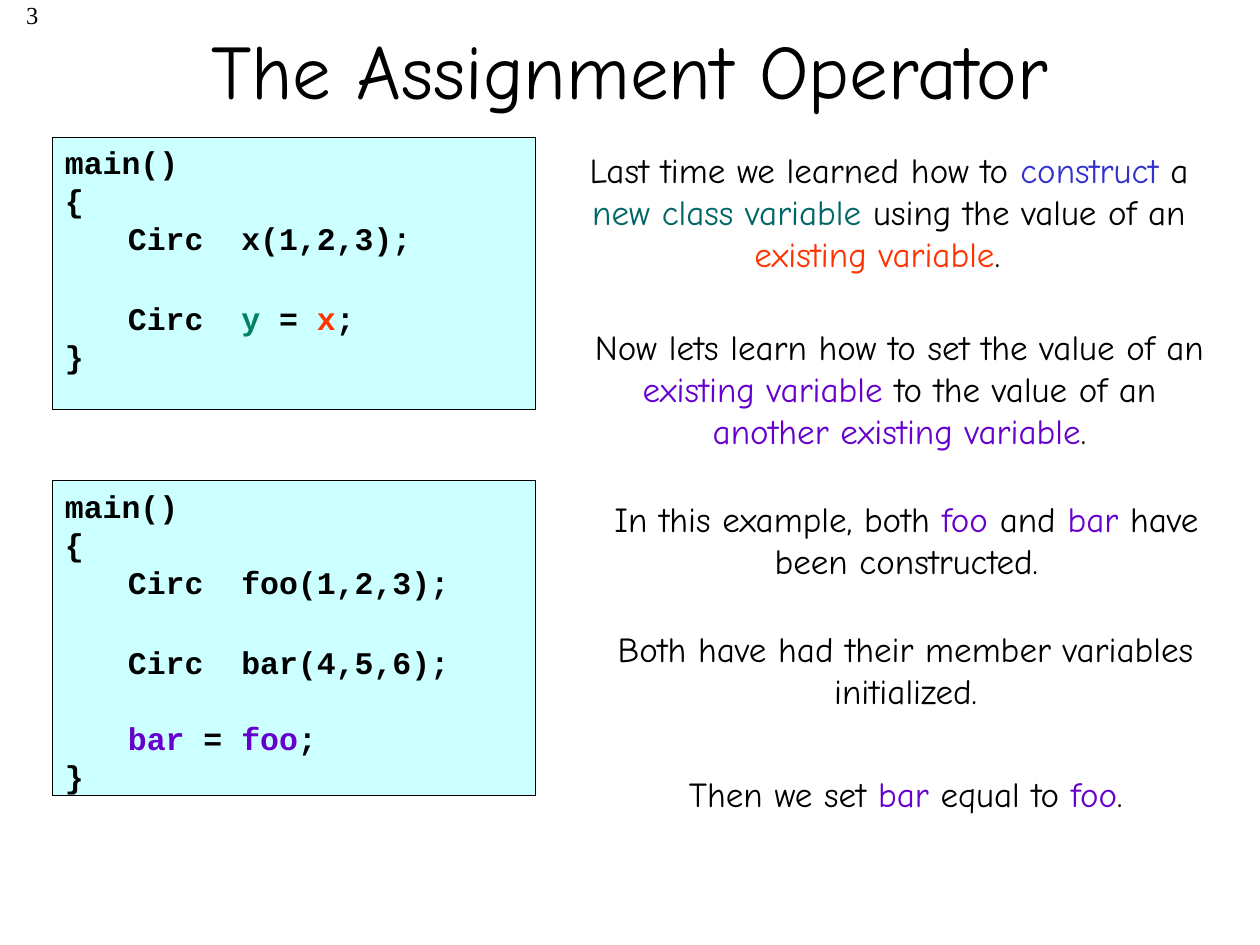
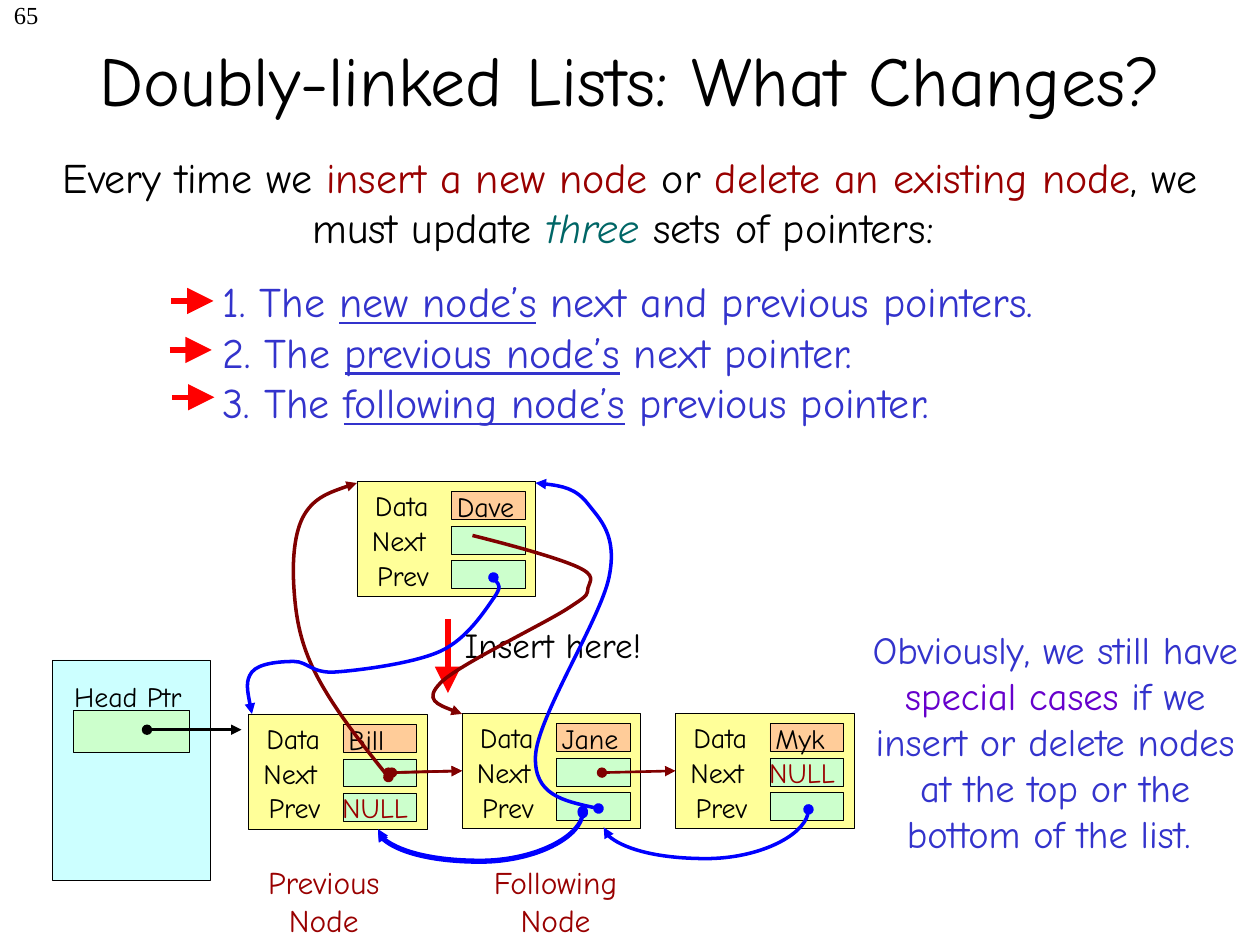
import lxml.etree
import pptx
import pptx.dml.color
import pptx.enum.shapes
import pptx.enum.text
import pptx.oxml.ns
import pptx.util

Pt = pptx.util.Pt
qn = pptx.oxml.ns.qn
KIND = pptx.enum.shapes.MSO_CONNECTOR
RECT = pptx.enum.shapes.MSO_SHAPE.RECTANGLE
ALIGN = pptx.enum.text.PP_ALIGN
ANCHOR = pptx.enum.text.MSO_ANCHOR

HUES = {
    "black": "000000", "cyan": "CCFFFF", "mint": "CCFFCC", "peach": "FFCC99",
    "yellow": "FFFF99", "indigo": "3333CC", "teal": "006666", "green": "008260",
    "orange": "FF3300", "purple": "6600CC", "wine": "990000", "maroon": "800000",
    "blue": "0000FF", "red": "FF0000",
}
COMIC, CODE, SERIF = "Comic Neue", "Courier New", "Times New Roman"
STEP = 19.8


def hue(name):
    return pptx.dml.color.RGBColor.from_string(HUES[name])


def fill_line(para, parts, size, tone="black", font=COMIC, bold=False):
    for part in [parts] if isinstance(parts, str) else parts:
        text, shade, style = (part, tone, "") if isinstance(part, str) else part
        run = para.add_run()
        run.text = text
        run.font.name = font
        run.font.size = Pt(size)
        run.font.color.rgb = hue(shade)
        run.font.bold = bold
        run.font.italic = style == "i"
        run.font.underline = style == "u"


def write(frame, lines, size, tone="black", font=COMIC, align=ALIGN.LEFT, bold=False):
    frame.word_wrap = True
    frame.auto_size = pptx.enum.text.MSO_AUTO_SIZE.NONE
    for num, parts in enumerate(lines):
        para = frame.add_paragraph() if num else frame.paragraphs[0]
        para.alignment = align
        fill_line(para, parts, size, tone, font, bold)


def add_text(slide, box, lines, size, **look):
    frame = slide.shapes.add_textbox(*map(Pt, box)).text_frame
    write(frame, lines, size, **look)
    return frame


def place(shape, box):
    shape.left, shape.top, shape.width, shape.height = map(Pt, box)


def add_page(deck, layout, title, box, size, number):
    slide = deck.slides.add_slide(deck.slide_layouts[layout])
    head = slide.shapes.title
    place(head, box)
    write(head.text_frame, [title], size, align=ALIGN.CENTER)
    head.text_frame.vertical_anchor = ANCHOR.MIDDLE
    frame = add_text(slide, (0, 0, 29, 25), [number], 14, font=SERIF, align=ALIGN.RIGHT)
    frame.margin_left = frame.margin_top = 0
    return slide


def add_box(slide, box, tone):
    shape = slide.shapes.add_shape(RECT, *map(Pt, box))
    shape.shadow.inherit = False
    shape.fill.solid()
    shape.fill.fore_color.rgb = hue(tone)
    shape.line.color.rgb = hue("black")
    shape.line.width = Pt(0.25)
    return shape


def add_code(slide, box, rows):
    frame = add_box(slide, box, "cyan").text_frame
    write(frame, [parts for parts, tab, gap in rows], 18, font=CODE, bold=True)
    frame.vertical_anchor = ANCHOR.TOP
    for para, (parts, tab, gap) in zip(frame.paragraphs, rows):
        para.line_spacing = Pt(21.7)
        para.space_before = Pt(gap)
        para._p.get_or_add_pPr().set("marL", str(Pt(tab)))


def add_list(slide, box, lines, size, tone):
    body = slide.placeholders[1]
    place(body, box)
    write(body.text_frame, lines, size, tone=tone)
    for para in body.text_frame.paragraphs:
        para.space_before = Pt(0)
        props = para._p.get_or_add_pPr()
        props.set("marL", "0")
        props.set("indent", "0")
        lxml.etree.SubElement(props, qn("a:buNone"))


def add_ends(shape, tone, width, dot=True, scale="med"):
    shape.line.color.rgb = hue(tone)
    shape.line.width = Pt(width)
    edge = shape._element.spPr.get_or_add_ln()
    ends = [("a:headEnd", "oval")] if dot else []
    for tag, kind in ends + [("a:tailEnd", "triangle")]:
        lxml.etree.SubElement(edge, qn(tag), type=kind, w=scale, len=scale)


def add_link(slide, start, end, tone, width, goal=None, **tips):
    link = slide.shapes.add_connector(KIND.STRAIGHT, *map(Pt, start + end))
    add_ends(link, tone, width, **tips)
    lxml.etree.SubElement(link._element.spPr, qn("a:effectLst"))
    if goal is not None:
        link.end_connect(goal, 1)


def add_loop(slide, start, end, tone, width):
    (x, y), (u, v) = start, end
    wide, tall = v - y, x - u
    left, top = (x + u - wide) / 2, (y + v - tall) / 2
    link = slide.shapes.add_connector(
        KIND.CURVE, Pt(left), Pt(top), Pt(left + wide), Pt(top + tall))
    props = link._element.spPr
    props.find(qn("a:xfrm")).set("rot", "5400000")
    geom = props.find(qn("a:prstGeom"))
    marks = geom.find(qn("a:avLst"))
    if marks is None:
        marks = lxml.etree.SubElement(geom, qn("a:avLst"))
    lxml.etree.SubElement(marks, qn("a:gd"), name="adj1", fmla="val 273500")
    add_ends(link, tone, width)
    lxml.etree.SubElement(props, qn("a:effectLst"))


def add_curve(slide, points, tone, dot=True):
    spots = [(Pt(x), Pt(y)) for x, y in points]
    maker = slide.shapes.build_freeform(*spots[0])
    maker.add_line_segments(spots[1:], close=False)
    shape = maker.convert_to_shape()
    shape.shadow.inherit = False
    shape.fill.background()
    route = next(shape._element.iter(qn("a:path")))
    legs = route.findall(qn("a:lnTo"))
    for first in range(0, len(legs), 3):
        bend = lxml.etree.SubElement(route, qn("a:cubicBezTo"))
        for leg in legs[first:first + 3]:
            bend.append(leg[0])
            route.remove(leg)
    add_ends(shape, tone, 2, dot=dot)


def add_node(slide, left, top, name, null=None):
    card = add_box(slide, (left, top, 102, 66), "yellow")
    rows = [("Data", 3.2, "peach"), ("Next", 1.5, "mint"), ("Prev", 4.4, "mint")]
    for num, (label, shift, tone) in enumerate(rows):
        drop = top + num * STEP
        add_box(slide, (left + 54, drop + 5.8, 42, 16), tone)
        add_text(slide, (left + shift, drop + 0.8, 56, 27), [label], 16)
    add_text(slide, (left + 50, top + 1.2, 60, 27), [name], 16)
    if null is not None:
        spot = (left + 46.5, top + 0.8 + null * STEP, 64, 27)
        add_text(slide, spot, ["NULL"], 16, tone="wine")
    return card


def make_assign(deck):
    slide = add_page(deck, 5, "The Assignment Operator", (54, 0, 612, 78), 44, "3")
    foo, bar = ("foo", "purple", ""), ("bar", "purple", "")
    add_code(slide, (30, 78.3, 276, 155.5), [
        ("main()", 0, 0), ("{", 0, 0), ("Circ  x(1,2,3);", 36, 0),
        (["Circ  ", ("y", "green", ""), " = ", ("x", "orange", ""), ";"], 36, 24),
        ("}", 0, 0)])
    add_code(slide, (30, 274.5, 276, 180), [
        ("main()", 0, 0), ("{", 0, 0), ("Circ  foo(1,2,3);", 36, 0),
        ("Circ  bar(4,5,6);", 36, 24), ([bar, " = ", foo, ";"], 36, 21.7),
        ("}", 0, 0)])
    notes = [
        ((312.5, 81.5, 391, 79), [
            "Last time we learned how to ", ("construct ", "indigo", ""), "a ",
            ("new class variable ", "teal", ""), "using the value of an ",
            ("existing variable", "orange", ""), ".  "]),
        ((332.5, 182.5, 363, 79), [
            "Now lets learn how to set the value of an ",
            ("existing variable", "purple", ""), " to the value of an ",
            ("another existing variable", "purple", ""), "."]),
        ((330.5, 281, 375, 55), [
            "In this example, both ", foo, " and ", bar, " have been constructed."]),
        ((330, 355, 375, 55), "Both have had their member variables initialized."),
        ((330, 438, 375, 31), ["Then we set ", bar, " equal to ", foo, "."]),
    ]
    for box, parts in notes:
        add_text(slide, box, [parts], 20, align=ALIGN.CENTER)


def make_lists(deck):
    slide = add_page(deck, 1, "Doubly-linked Lists: What Changes?",
                     (12, 0, 696, 90), 40, "65")
    add_text(slide, (24, 83, 672, 65), [[
        "Every time we ", ("insert a new node", "wine", ""), " or ",
        ("delete an existing node", "wine", ""), ", we must update ",
        ("three", "teal", "i"), " sets of pointers: "]], 24, align=ALIGN.CENTER)
    tasks = [("1", "new", "next and previous pointers"),
             ("2", "previous", "next pointer"),
             ("3", "following", "previous pointer")]
    add_list(slide, (120, 154, 523, 94), [
        [f"{num}. The ", (f"{who} node’s", "indigo", "u"), f" {what}."]
        for num, who, what in tasks], 24, "indigo")
    for x, y in [(98, 172), (97, 200), (98.5, 227)]:
        add_link(slide, (x, y), (x + 24, y), "red", 3, dot=False, scale="lg")
    add_text(slide, (486, 354, 234, 166), [[
        "Obviously, we still have ", ("special cases", "purple", ""),
        " if we insert or delete nodes at the top or the bottom of the list. "]],
        22, tone="indigo", align=ALIGN.CENTER)

    add_box(slide, (30, 377, 90, 126), "cyan")
    add_box(slide, (42, 406, 66, 24), "mint")
    add_text(slide, (35.3, 384.5, 84, 27), ["Head Ptr"], 16)
    add_link(slide, (84, 417), (138, 417), "black", 1.5)

    add_node(slide, 142, 408, "Bill", 2)
    jane = add_node(slide, 264, 407.5, "Jane")
    myk = add_node(slide, 386, 407.5, "Myk", 1)
    add_node(slide, 204, 275, "Dave")
    for x, goal in [(224, jane), (222, jane), (344, myk)]:
        add_link(slide, (x, 441.5), (x + 42, 441.5), "maroon", 1.5, goal)
    for x, y in [(462, 462.5), (333, 463.5), (333, 464.5)]:
        add_loop(slide, (x, y), (x - 117, y + 10.3), "blue", 2)

    add_link(slide, (256, 354), (256, 396), "red", 3, dot=False, scale="lg")
    add_text(slide, (258.5, 353, 130, 31), ["Insert here!"], 20)
    for left, wide, word in [(143, 84, "Previous"), (272, 91, "Following")]:
        add_text(slide, (left, 489.5, wide, 50), [word, "Node"], 18,
                 tone="wine", align=ALIGN.CENTER)

    add_curve(slide, [
        (222, 444), (205, 423), (189, 402), (180, 384), (171, 366), (169, 351),
        (168, 336), (167, 321), (168, 304), (174, 294), (180, 284), (192, 280),
        (204, 276)], "maroon")
    add_curve(slide, [
        (342, 462), (323, 458), (305, 454), (306, 432), (307, 410), (343, 354),
        (348, 330), (353, 306), (343, 297), (336, 288), (329, 279), (318, 277),
        (306, 276)], "blue")
    add_curve(slide, [
        (270, 306), (294, 312), (319, 319), (330, 324), (341, 329), (337, 332),
        (336, 336), (335, 340), (338, 339), (324, 348), (310, 357), (262, 380),
        (252, 390), (242, 400), (253, 404), (264, 408)], "maroon", dot=False)
    add_curve(slide, [
        (282, 330), (284, 333), (287, 335), (282, 342), (277, 349), (267, 365),
        (252, 372), (237, 379), (206, 383), (192, 384), (178, 385), (176, 378),
        (168, 378), (160, 378), (148, 379), (144, 384), (140, 389), (142, 398),
        (144, 408)], "blue")


def main():
    deck = pptx.Presentation()
    deck.slide_width, deck.slide_height = Pt(720), Pt(540)
    make_assign(deck)
    make_lists(deck)
    deck.save("out.pptx")


if __name__ == "__main__":
    main()
